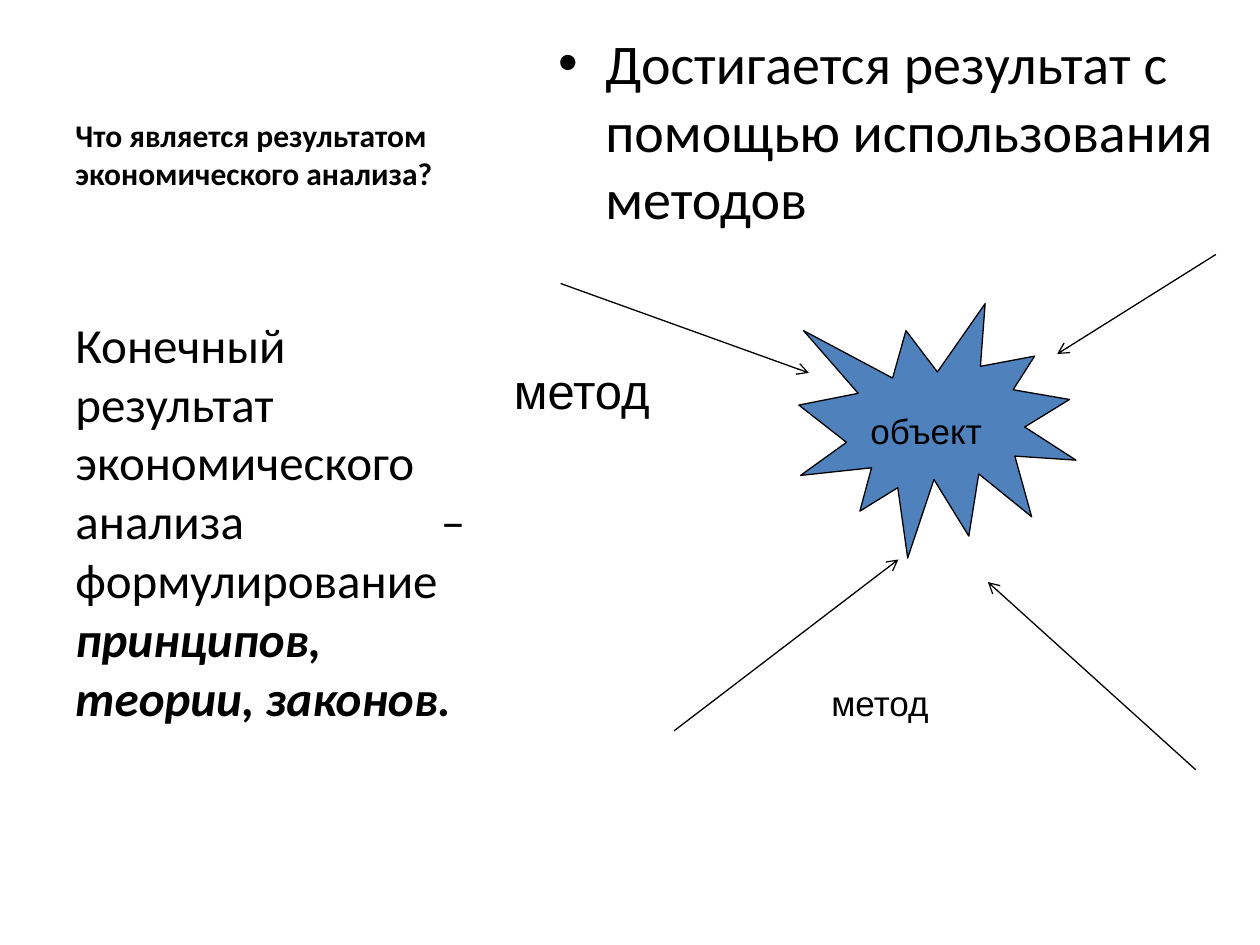
import pptx
import pptx.util
import pptx.dml.color
import pptx.enum.shapes
import pptx.enum.text
import pptx.oxml.ns
import lxml.etree

Pt = pptx.util.Pt
BLACK = pptx.dml.color.RGBColor(0, 0, 0)
BLUE = pptx.dml.color.RGBColor(0x4F, 0x81, 0xBD)
ALIGN = pptx.enum.text.PP_ALIGN
ANCHOR = pptx.enum.text.MSO_ANCHOR


def add_node(parent, tag, **attrs):
    return lxml.etree.SubElement(parent, pptx.oxml.ns.qn(tag), **attrs)


def add_text(slide, box, text, size, face="Arial", bold=None,
             align=ALIGN.LEFT, anchor=ANCHOR.TOP):
    frame = slide.shapes.add_textbox(*map(Pt, box)).text_frame
    frame.word_wrap = True
    frame.vertical_anchor = anchor
    para = frame.paragraphs[0]
    para.alignment = align
    para.font.name = face
    para.font.size = Pt(size)
    para.font.bold = bold
    para.font.color.rgb = BLACK
    para.add_run().text = text
    return para


def add_bullet(para, indent):
    props = para._p.get_or_add_pPr()
    props.set("marL", str(Pt(indent)))
    props.set("indent", str(-Pt(indent)))
    mark = lxml.etree.Element(pptx.oxml.ns.qn("a:buChar"), char="•")
    font = lxml.etree.Element(pptx.oxml.ns.qn("a:buFont"), typeface="Arial")
    props.insert_element_before(font, "a:defRPr")
    props.insert_element_before(mark, "a:defRPr")


def add_star(slide, box):
    kind = pptx.enum.shapes.MSO_SHAPE.EXPLOSION1
    star = slide.shapes.add_shape(kind, *map(Pt, box))
    star.shadow.inherit = False
    star.fill.solid()
    star.fill.fore_color.rgb = BLUE
    star.line.color.rgb = BLACK
    star.line.width = Pt(0.75)


def add_arrow(slide, ends):
    kind = pptx.enum.shapes.MSO_CONNECTOR.STRAIGHT
    arrow = slide.shapes.add_connector(kind, *map(Pt, ends))
    arrow.line.color.rgb = BLACK
    arrow.line.width = Pt(0.75)
    add_node(arrow.line._get_or_add_ln(), "a:tailEnd", type="arrow")
    add_node(arrow._element.spPr, "a:effectLst")


def main():
    deck = pptx.Presentation()
    deck.slide_width, deck.slide_height = Pt(720), Pt(540)
    slide = deck.slides.add_slide(deck.slide_layouts[6])

    add_text(slide, (36, 21.5, 236.9, 91.5),
             "Что является результатом экономического анализа?",
             18, "Calibri", bold=True, anchor=ANCHOR.BOTTOM)
    lead = add_text(slide, (311.8, 13, 402.5, 460.8),
                    "Достигается результат с помощью использования методов",
                    32, "Calibri")
    add_bullet(lead, 27)
    goal = add_text(slide, (36, 176, 236.9, 306),
                    "Конечный результат экономического анализа – формулирование ",
                    28, "Calibri", align=ALIGN.JUSTIFY)
    end = goal.add_run()
    end.text = "принципов, теории, законов."
    end.font.bold = end.font.italic = True

    add_star(slide, (456.5, 173.5, 158.4, 145.4))
    add_text(slide, (490.3, 230.4, 102.2, 31.7), "объект", 20)
    for ends in (
        (320.4, 162, 462.2, 213.1),
        (694.8, 145.4, 604.1, 202.3),
        (385.2, 417.6, 513.4, 319.7),
        (683.3, 439.9, 564.5, 332.6),
    ):
        add_arrow(slide, ends)
    add_text(slide, (286.6, 202.3, 130.3, 41), "метод", 28)
    add_text(slide, (468, 385.9, 96.5, 31.7), "метод", 20)
    deck.save("out.pptx")


if __name__ == "__main__":
    main()
